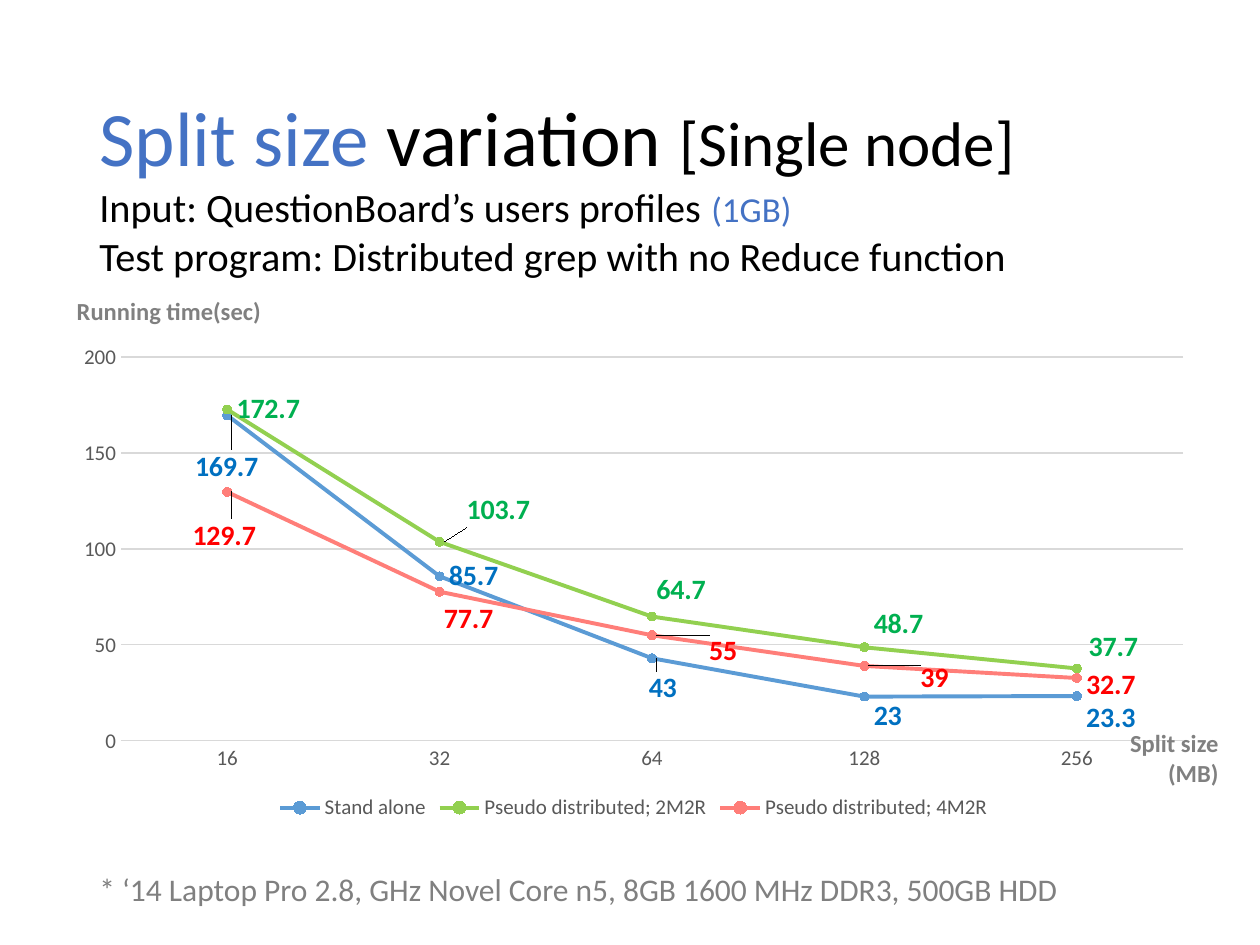
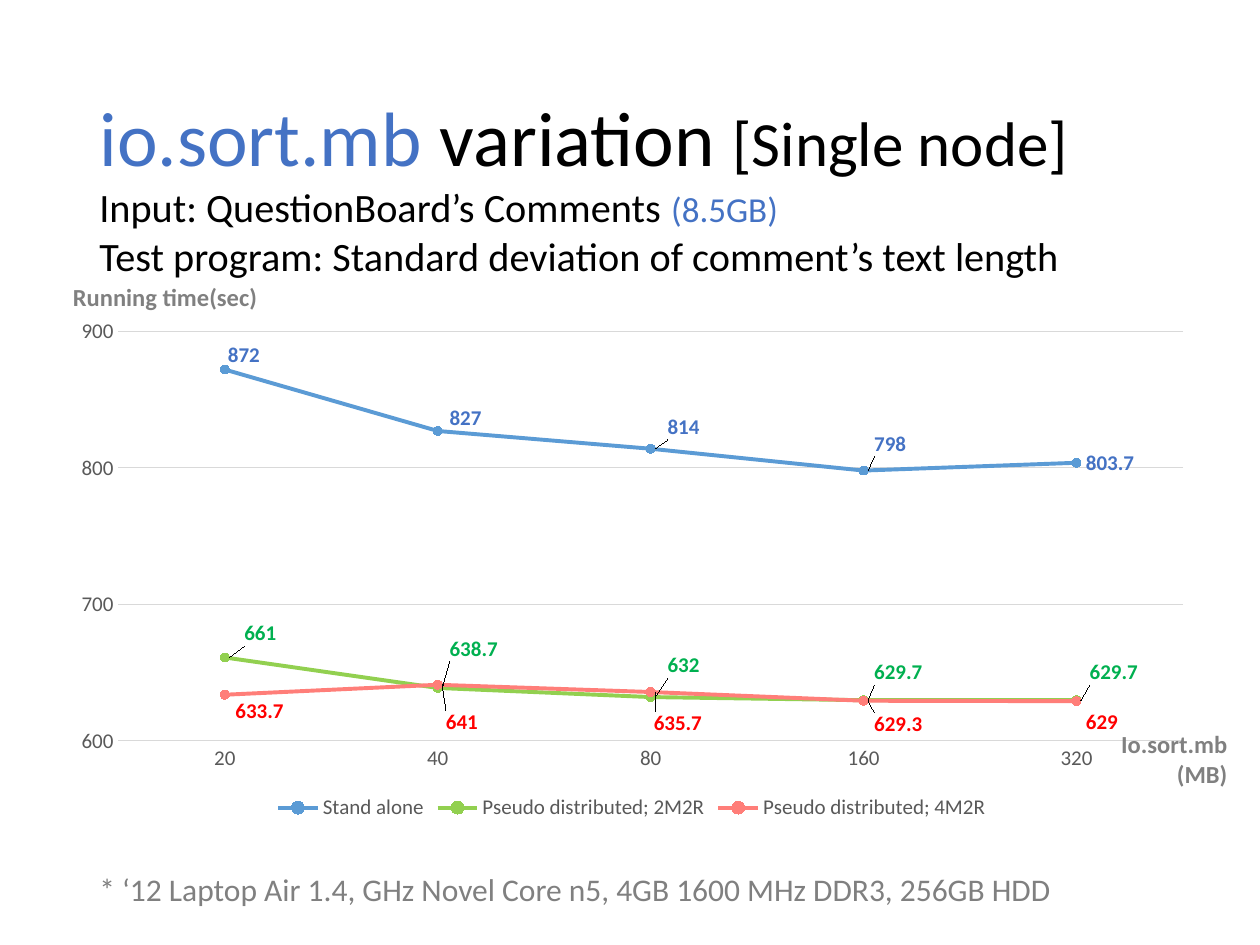
"""Build two slides that chart running times on a single node."""
from dataclasses import dataclass
from typing import Any, NamedTuple

from lxml import etree
from pptx import Presentation
from pptx.chart import data as chart_data
from pptx.dml.color import RGBColor
from pptx.enum import chart as chart_enum, text as text_enum
from pptx.oxml import ns
from pptx.util import Inches, Pt


@dataclass(frozen=True)
class Theme:
    font: str = "Calibri"
    black: str = "000000"
    accent: str = "4472C4"
    muted: str = "808080"
    axis_text: str = "595959"
    grid: str = "D9D9D9"
    title: int = 44
    subtitle: int = 36
    body: int = 23
    detail: int = 20
    footnote: int = 18
    axis_title: int = 14
    tick: int = 12
    chart: int = 10


THEME = Theme()


class Run(NamedTuple):
    text: str
    size: int
    color: str = THEME.black
    bold: bool = False


class Box(NamedTuple):
    left: float
    top: float
    width: float
    height: float

    def emu(self) -> list[int]:
        return [Inches(length) for length in self]


class Style(NamedTuple):
    name: str
    line: str
    marker: str
    label: str


class Measure(NamedTuple):
    """Values with label shifts in inches by point number."""
    values: list[float]
    shifts: dict[int, tuple[float, float]]


@dataclass(frozen=True)
class ChartPage:
    topic: str
    data_source: str
    data_size: str
    program: str
    machine: str
    chart_box: Box
    plot_area: Box
    categories: list[str]
    scale: tuple[int, int, int]
    label_size: int
    styles: list[Style]
    measures: list[Measure]
    value_title_box: Box
    category_title: str
    category_title_box: Box


GREEN = Style("Pseudo distributed; 2M2R", "92D050", "00B050", "00B050")
RED = Style("Pseudo distributed; 4M2R", "FF7E79", "FF0000", "FF0000")
TITLE_BOX = Box(0.69, 0.4, 8.62, 1.45)
SUMMARY_BOX = Box(0.69, 1.4, 9.96, 0.88)
FOOTNOTE_BOX = Box(0.69, 6.86, 8.05, 0.4)

PAGES = [
    ChartPage(
        topic="Split size ",
        data_source="QuestionBoard’s users profiles ",
        data_size="(1GB)",
        program="Distributed grep with no Reduce function",
        machine="‘14 Laptop Pro 2.8, GHz Novel Core n5, 8GB 1600 MHz DDR3, 500GB HDD",
        chart_box=Box(0.49, 2.44, 9.08, 4.11),
        plot_area=Box(0.47, 0.09, 8.43, 3.35),
        categories=["16", "32", "64", "128", "256"],
        scale=(0, 220, 50),
        label_size=16,
        styles=[Style("Stand alone", "5B9BD5", "4472C4", "0070C0"), GREEN, RED],
        measures=[
            Measure([169.7, 85.7, 43, 23, 23.3],
                    {0: (-0.33, 0.41), 2: (-0.1, 0.24), 3: (0, 0.16), 4: (0, 0.18)}),
            Measure([172.7, 103.7, 64.7, 48.7, 37.7],
                    {1: (0.14, -0.25), 2: (-0.04, -0.21), 3: (0, -0.18), 4: (0.02, -0.17)}),
            Measure([129.7, 77.7, 55, 39, 32.7],
                    {0: (-0.35, 0.35), 1: (-0.04, 0.22), 2: (0.38, 0.13),
                     3: (0.37, 0.1), 4: (0, 0.06)}),
        ],
        value_title_box=Box(0.49, 2.3, 1.68, 0.34),
        category_title="Split size",
        category_title_box=Box(8.86, 5.73, 0.91, 0.57),
    ),
    ChartPage(
        topic="io.sort.mb ",
        data_source="QuestionBoard’s Comments ",
        data_size="(8.5GB)",
        program="Standard deviation of comment’s text length",
        machine="‘12 Laptop Air 1.4, GHz Novel Core n5, 4GB 1600 MHz DDR3, 256GB HDD",
        chart_box=Box(0.46, 2.44, 9.11, 4.11),
        plot_area=Box(0.48, 0.19, 8.45, 3.25),
        categories=["20", "40", "80", "160", "320"],
        scale=(600, 900, 100),
        label_size=12,
        styles=[Style("Stand alone", "5B9BD5", "5B9BD5", "4472C4"), GREEN, RED],
        measures=[
            Measure([872, 827, 814, 798, 803.7],
                    {0: (-0.05, -0.11), 1: (0.02, -0.1), 2: (0.06, -0.17), 3: (0.01, -0.21)}),
            Measure([661, 638.7, 632, 629.7, 629.7],
                    {0: (0.08, -0.19), 1: (0.02, -0.31), 2: (0.06, -0.25),
                     3: (0.01, -0.22), 4: (0.03, -0.22)}),
            Measure([633.7, 641, 635.7, 629.3, 629],
                    {0: (0.01, 0.13), 1: (-0.01, 0.3), 2: (-0.05, 0.25),
                     3: (0.01, 0.19), 4: (0, 0.17)}),
        ],
        value_title_box=Box(0.46, 2.19, 1.68, 0.34),
        category_title="Io.sort.mb",
        category_title_box=Box(8.79, 5.74, 1.05, 0.57),
    ),
]


def apply(target: Any, formats: dict[str, Any]) -> None:
    """Set every attribute named in formats."""
    for name, value in formats.items():
        setattr(target, name, value)


def format_font(font: Any, size: int, color: str, bold: bool = False) -> None:
    """Give a font the theme typeface, a size, a colour and a weight."""
    apply(font, {"name": THEME.font, "size": Pt(size), "bold": bold})
    font.color.rgb = RGBColor.from_string(color)


def format_line(line: Any, color: str, width: float) -> None:
    """Give a line a solid colour and a width in points."""
    line.color.rgb = RGBColor.from_string(color)
    line.width = Pt(width)


def fill_text(frame: Any, lines: list[list[Run]], formats: dict[str, Any]) -> None:
    """Write one paragraph for each line of runs."""
    for number, runs in enumerate(lines):
        paragraph = frame.add_paragraph() if number else frame.paragraphs[0]
        apply(paragraph, formats)
        for item in runs:
            run = paragraph.add_run()
            run.text = item.text
            format_font(run.font, item.size, item.color, item.bold)


def add_text(slide: Any, box: Box, lines: list[list[Run]], wrap: bool = True,
             alignment: Any = text_enum.PP_ALIGN.LEFT) -> None:
    """Add a text box that grows with its text."""
    frame = slide.shapes.add_textbox(*box.emu()).text_frame
    apply(frame, {"word_wrap": wrap, "auto_size": text_enum.MSO_AUTO_SIZE.SHAPE_TO_FIT_TEXT})
    fill_text(frame, lines, {"alignment": alignment})


def add_title(slide: Any, topic: str) -> None:
    """Place and fill the title placeholder."""
    title = slide.shapes.title
    apply(title, dict(zip(("left", "top", "width", "height"), TITLE_BOX.emu())))
    apply(title.text_frame, {"word_wrap": True, "auto_size": text_enum.MSO_AUTO_SIZE.NONE,
                             "vertical_anchor": text_enum.MSO_ANCHOR.MIDDLE})
    runs = [Run(topic, THEME.title, THEME.accent), Run("variation ", THEME.title),
            Run("[Single node]", THEME.subtitle)]
    fill_text(title.text_frame, [runs],
              {"alignment": text_enum.PP_ALIGN.LEFT, "line_spacing": 0.9})


def make_layout(settings: dict[str, Any]) -> Any:
    """Return a manual chart layout element."""
    layout = etree.Element(ns.qn("c:layout"))
    manual = etree.SubElement(layout, ns.qn("c:manualLayout"))
    for name, value in settings.items():
        etree.SubElement(manual, ns.qn(f"c:{name}")).set("val", str(value))
    return layout


def place_plot(chart: Any, page: ChartPage) -> None:
    """Fix the inner plot area inside the chart."""
    plot, box = page.plot_area, page.chart_box
    element = chart.plots[0]._element.getparent()
    for old in element.findall(ns.qn("c:layout")):
        element.remove(old)
    element.insert(0, make_layout({
        "layoutTarget": "inner", "xMode": "edge", "yMode": "edge",
        "x": plot.left / box.width, "y": plot.top / box.height,
        "w": plot.width / box.width, "h": plot.height / box.height}))


def format_series(series: Any, style: Style, measure: Measure, page: ChartPage) -> None:
    """Format a line, its markers and its value labels."""
    series.smooth = False
    format_line(series.format.line, style.line, 2.25)
    apply(series.marker, {"style": chart_enum.XL_MARKER_STYLE.CIRCLE, "size": 5})
    series.marker.format.fill.solid()
    series.marker.format.fill.fore_color.rgb = RGBColor.from_string(style.marker)
    format_line(series.marker.format.line, style.marker, 0.75)
    labels = series.data_labels
    right = chart_enum.XL_LABEL_POSITION.RIGHT
    apply(labels, {"show_value": True, "position": right})
    format_font(labels.font, page.label_size, style.label, True)
    for index in measure.shifts:
        label = series.points[index].data_label
        format_font(label.font, page.label_size, style.label, True)
        label.position = right
    elements = labels._element.findall(ns.qn("c:dLbl"))
    for element, (across, down) in zip(elements, measure.shifts.values()):
        element.insert(1, make_layout({"x": across / page.chart_box.width,
                                       "y": down / page.chart_box.height}))


def format_axes(chart: Any, scale: tuple[int, int, int]) -> None:
    """Format both axes and the value gridlines."""
    for axis in (chart.category_axis, chart.value_axis):
        apply(axis, {"major_tick_mark": chart_enum.XL_TICK_MARK.NONE,
                     "minor_tick_mark": chart_enum.XL_TICK_MARK.NONE})
        format_font(axis.tick_labels.font, THEME.tick, THEME.axis_text)
    format_line(chart.category_axis.format.line, THEME.grid, 0.75)
    value_axis = chart.value_axis
    apply(value_axis, dict(zip(("minimum_scale", "maximum_scale", "major_unit"), scale)))
    value_axis.has_major_gridlines = True
    format_line(value_axis.major_gridlines.format.line, THEME.grid, 0.75)
    value_axis.format.line.fill.background()


def add_line_chart(slide: Any, page: ChartPage) -> None:
    """Add the running time chart."""
    data = chart_data.CategoryChartData()
    data.categories = page.categories
    for style, measure in zip(page.styles, page.measures):
        data.add_series(style.name, measure.values)
    chart = slide.shapes.add_chart(chart_enum.XL_CHART_TYPE.LINE_MARKERS,
                                   *page.chart_box.emu(), data).chart
    apply(chart, {"has_title": False, "has_legend": True})
    format_font(chart.font, THEME.chart, THEME.black)
    apply(chart.legend, {"position": chart_enum.XL_LEGEND_POSITION.BOTTOM,
                         "include_in_layout": False})
    format_font(chart.legend.font, THEME.tick, THEME.axis_text)
    chart.plots[0].vary_by_categories = False
    format_axes(chart, page.scale)
    for series, style, measure in zip(chart.plots[0].series, page.styles, page.measures):
        format_series(series, style, measure, page)
    place_plot(chart, page)


def add_axis_title(slide: Any, box: Box, lines: list[str]) -> None:
    """Add a bold grey label beside an axis."""
    runs = [[Run(line, THEME.axis_title, THEME.muted, True)] for line in lines]
    add_text(slide, box, runs, False, text_enum.PP_ALIGN.RIGHT)


def add_page(presentation: Any, page: ChartPage) -> None:
    """Add one slide with its title, summary, chart and footnote."""
    slide = presentation.slides.add_slide(presentation.slide_layouts[5])
    add_title(slide, page.topic)
    add_text(slide, FOOTNOTE_BOX, [[Run(f"* {page.machine}", THEME.footnote, THEME.muted)]])
    add_text(slide, SUMMARY_BOX, [
        [Run(f"Input: {page.data_source}", THEME.body),
         Run(page.data_size, THEME.detail, THEME.accent)],
        [Run(f"Test program: {page.program}", THEME.body)]])
    add_line_chart(slide, page)
    add_axis_title(slide, page.value_title_box, ["Running time(sec)"])
    add_axis_title(slide, page.category_title_box, [page.category_title, "(MB)"])


def main() -> None:
    """Build and save the presentation."""
    presentation = Presentation()
    apply(presentation, {"slide_width": Inches(10), "slide_height": Inches(7.5)})
    for page in PAGES:
        add_page(presentation, page)
    presentation.save("out.pptx")


if __name__ == "__main__":
    main()
